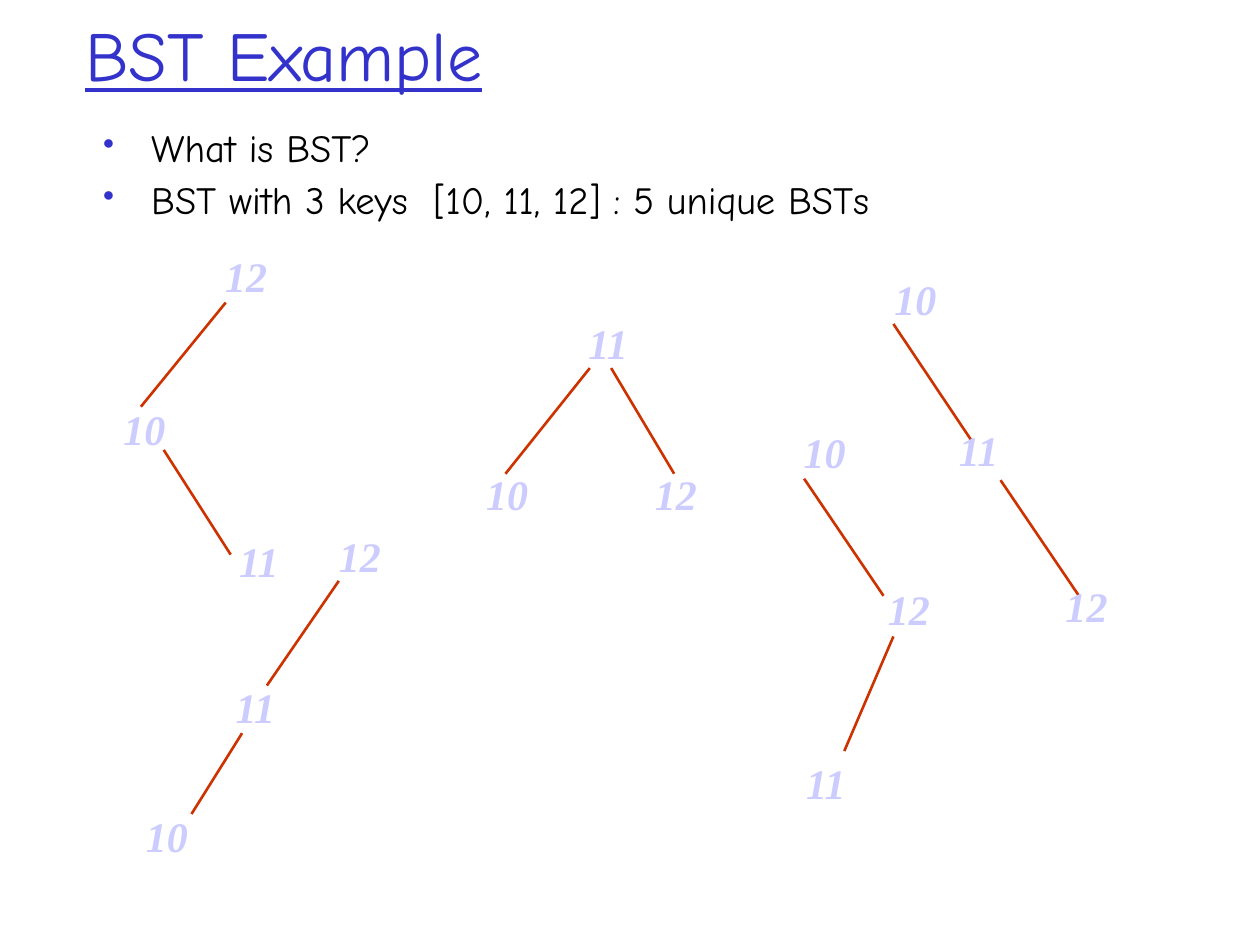
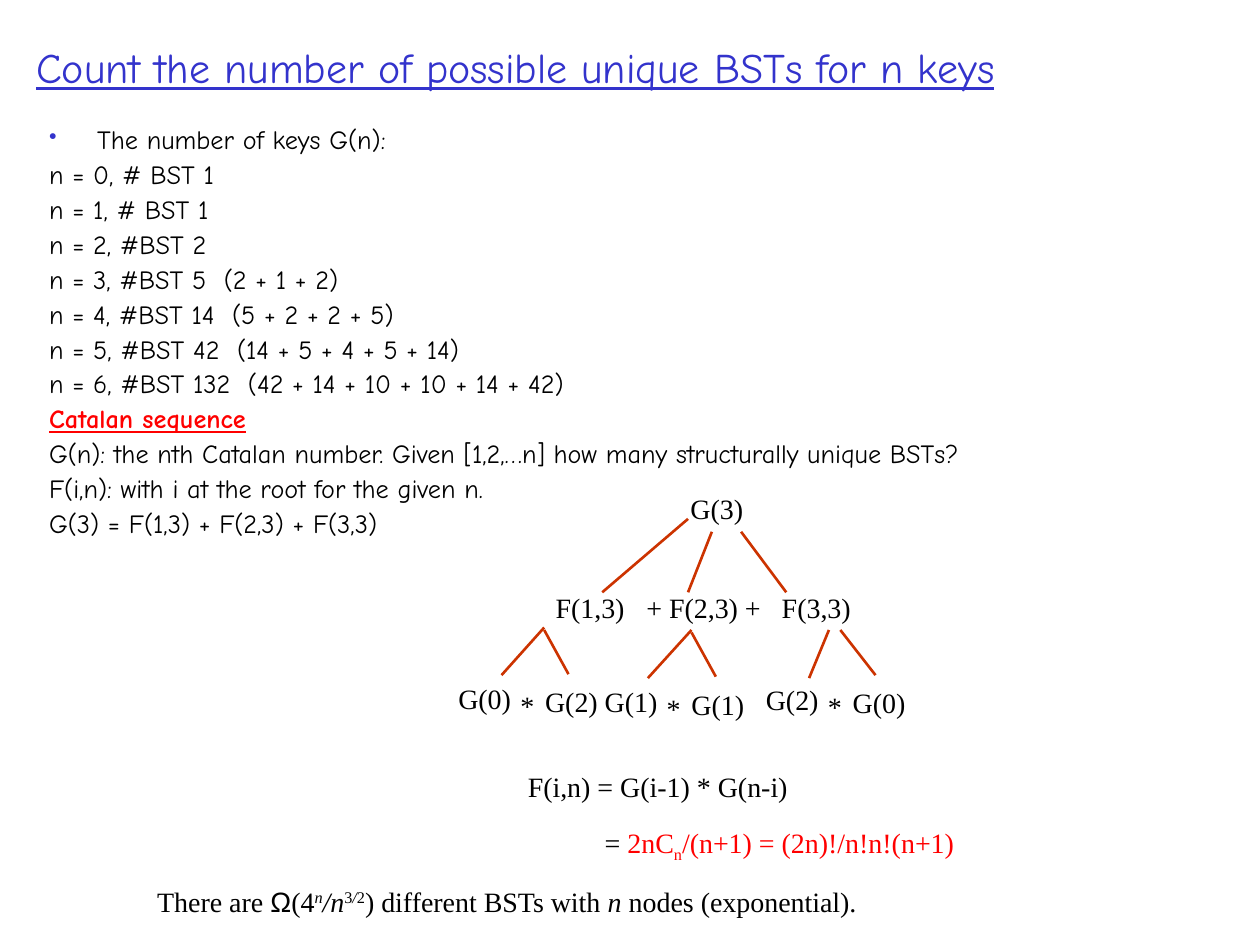
"""Two slides on binary search trees: the five trees on three keys, and how to count them."""
from lxml.etree import SubElement
from pptx import Presentation
from pptx.dml.color import RGBColor
from pptx.enum.shapes import MSO_CONNECTOR
from pptx.enum.text import MSO_ANCHOR
from pptx.oxml.ns import qn
from pptx.util import Cm, Pt

COLORS = {"title": "3333CC", "text": "000000", "key": "CCCCFF", "edge": "CC3300", "accent": "FF0000"}
HEADING_FACE, DIAGRAM_FACE = "Comic Neue", "Times New Roman"
BULLET_INDENT = 0.97

EXAMPLE_TITLE = ("BST Example", (1.47, 0.64, 21.59, 0.86), 40)
EXAMPLE_POINTS = ["What is BST?", "BST with 3 keys  [10, 11, 12] : 5 unique BSTs"]

TREES = [
    {"keys": [("12", 4.29, 4.93), ("10", 2.24, 8.0), ("11", 4.57, 10.67)],
     "edges": [(4.55, 6.1, 2.84, 8.2), (3.3, 9.07, 4.65, 11.18)]},
    {"keys": [("11", 11.61, 6.27), ("10", 9.55, 9.32), ("12", 12.95, 9.32)],
     "edges": [(11.89, 7.42, 10.19, 9.55), (12.32, 7.42, 13.59, 9.55)]},
    {"keys": [("12", 6.58, 10.57), ("11", 4.5, 13.61), ("10", 2.69, 16.21)],
     "edges": [(6.83, 11.71, 5.38, 13.82), (4.88, 14.78, 3.86, 16.41)]},
    {"keys": [("10", 17.78, 5.38), ("11", 19.08, 8.43), ("12", 21.23, 11.58)],
     "edges": [(18.01, 6.53, 19.61, 8.92), (20.17, 9.68, 21.77, 12.04)]},
    {"keys": [("10", 15.95, 8.48), ("12", 17.65, 11.63), ("11", 16.0, 15.14)],
     "edges": [(16.21, 9.65, 17.81, 12.01), (18.01, 12.83, 17.02, 15.14)]},
]

COUNT_TITLE = ("Count the number of possible unique BSTs for n keys", (0.48, 0.64, 22.5, 1.4), 24)
COUNT_POINTS = [
    "The number of keys G(n):",
    "n = 0, # BST 1",
    "n = 1, # BST 1",
    "n = 2, #BST 2",
    "n = 3, #BST 5  (2 + 1 + 2)",
    "n = 4, #BST 14  (5 + 2 + 2 + 5)",
    "n = 5, #BST 42  (14 + 5 + 4 + 5 + 14)",
    "n = 6, #BST 132  (42 + 14 + 10 + 10 + 14 + 42)",
    "Catalan sequence",
    "G(n): the nth Catalan number. Given [1,2,…n] how many structurally unique BSTs?",
    "F(i,n): with i at the root for the given n.",
    "G(3) = F(1,3) + F(2,3) + F(3,3)",
]
CATALAN_HEADING = "Catalan sequence"

RECURSION_ROOT = ("G(3)", (13.67, 9.78, 2, 0.94))
RECURSION_SUM = ("F(1,3)\t+ F(2,3) +\tF(3,3)", (10.95, 11.71, 7, 1.02))
SUM_TABS = [1.83, 4.56]
PRODUCTS = [("G(0)", "G(2)", 8.99, 13.61), ("G(1)", "G(1)", 11.94, 13.67), ("G(2)", "G(0)", 15.19, 13.64)]
STAR_OFFSET, RIGHT_FACTOR_OFFSET = (1.25, 0.14), (1.75, 0.06)
RECURSION_EDGES = [
    (13.87, 10.46, 12.14, 11.94), (14.35, 10.72, 13.87, 11.94), (14.94, 10.72, 15.85, 11.94),
    (10.97, 12.65, 10.11, 13.61), (10.97, 12.7, 11.46, 13.59),
    (13.94, 12.7, 13.06, 13.67), (13.94, 12.75, 14.43, 13.64),
    (16.71, 12.7, 16.31, 13.67), (16.94, 12.7, 17.65, 13.61),
]

PRODUCT_RULE = ("F(i,n) = G(i-1) * G(n-i)", (10.39, 15.32, 10, 1.02))
RED = {"color": "accent"}
CLOSED_FORM = ([("= ", {}), ("2nC", RED), ("n", {**RED, "baseline": -25}),
                ("/(n+1) = (2n)!/n!n!(n+1)", RED)], (11.94, 16.51, 8, 1.04))
GROWTH = ([("There are ", {}), ("Ω", {"face": "Arial"}), ("(4", {}),
           ("n", {"italic": True, "baseline": 30}), ("/n", {"italic": True}),
           ("3", {"baseline": 30}), ("/", {"italic": True, "baseline": 30}), ("2", {"baseline": 30}),
           (") different BSTs with ", {}), ("n ", {"italic": True}), ("nodes (exponential).", {})],
          (2.92, 17.7, 17.88, 0.94))


def style(font, size=None, face=None, color=None, bold=None, italic=None, underline=None):
    if size:
        font.size = Pt(size)
    if face:
        font.name = face
    if color:
        font.color.rgb = RGBColor.from_string(COLORS[color])
    font.bold, font.italic, font.underline = bold, italic, underline


def add_frame(slide, box):
    frame = slide.shapes.add_textbox(*map(Cm, box)).text_frame
    frame.word_wrap = True
    return frame


def add_title(slide, wording, box, size):
    frame = add_frame(slide, box)
    frame.vertical_anchor = MSO_ANCHOR.MIDDLE
    heading = frame.paragraphs[0]
    heading.text = wording
    style(heading.font, size, HEADING_FACE, "title", underline=True)


def add_bullet(paragraph):
    properties = paragraph._p.get_or_add_pPr()
    properties.set("marL", str(Cm(BULLET_INDENT)))
    properties.set("indent", str(-Cm(BULLET_INDENT)))
    SubElement(SubElement(properties, qn("a:buClr")), qn("a:srgbClr"), val=COLORS["title"])
    SubElement(properties, qn("a:buSzPct"), val="85000")
    SubElement(properties, qn("a:buChar"), char="•")


def add_points(slide, points, box, size, gap, bulleted):
    frame = add_frame(slide, box)
    for index, wording in enumerate(points):
        point = frame.add_paragraph() if index else frame.paragraphs[0]
        point.text = wording
        point.line_spacing = 0.9
        if index:
            point.space_before = Pt(gap)
        if index < bulleted:
            add_bullet(point)
        if wording == CATALAN_HEADING:
            style(point.font, size, HEADING_FACE, "accent", bold=True, underline=True)
        else:
            style(point.font, size, HEADING_FACE, "text")


def add_label(slide, wording, box, size=16, color="text", spacing=None, tabs=(), **emphasis):
    label = add_frame(slide, box).paragraphs[0]
    label.text = wording
    if spacing:
        label.line_spacing = spacing
    if tabs:
        stops = SubElement(label._p.get_or_add_pPr(), qn("a:tabLst"))
        for stop in tabs:
            SubElement(stops, qn("a:tab"), pos=str(Cm(stop)), algn="l")
    style(label.font, size, DIAGRAM_FACE, color, **emphasis)


def add_formula(slide, parts, box):
    formula = add_frame(slide, box).paragraphs[0]
    for wording, look in parts:
        part = formula.add_run()
        part.text = wording
        look = {"size": 16, "face": DIAGRAM_FACE, "color": "text", **look}
        baseline = look.pop("baseline", 0)
        style(part.font, **look)
        if baseline:
            part._r.get_or_add_rPr().set("baseline", str(baseline * 1000))


def add_edges(slide, edges):
    for ends in edges:
        edge = slide.shapes.add_connector(MSO_CONNECTOR.STRAIGHT, *map(Cm, ends))
        edge.line.color.rgb = RGBColor.from_string(COLORS["edge"])
        edge.line.width = Pt(1.5)
        SubElement(edge._element.spPr, qn("a:effectLst"))


def build_example(slide):
    add_title(slide, *EXAMPLE_TITLE)
    add_points(slide, EXAMPLE_POINTS, (1.83, 2.49, 21.59, 2.18), 22, 5.5, bulleted=2)
    for tree in TREES:
        add_edges(slide, tree["edges"])
        for key, left, top in tree["keys"]:
            add_label(slide, key, (left, top, 1.7, 1.27), 24, "key", bold=True, italic=True)


def build_count(slide):
    add_title(slide, *COUNT_TITLE)
    add_points(slide, COUNT_POINTS, (0.74, 2.44, 23.7, 9.58), 15, 3.7, bulleted=1)
    add_edges(slide, RECURSION_EDGES)
    add_label(slide, *RECURSION_ROOT)
    add_label(slide, *RECURSION_SUM, spacing=1.1, tabs=SUM_TABS)
    for left_factor, right_factor, left, top in PRODUCTS:
        pieces = [(left_factor, (0, 0)), ("*", STAR_OFFSET), (right_factor, RIGHT_FACTOR_OFFSET)]
        for wording, (right, down) in pieces:
            add_label(slide, wording, (left + right, top + down, 0.79 if wording == "*" else 2, 0.94))
    add_label(slide, *PRODUCT_RULE, spacing=1.1)
    add_formula(slide, *CLOSED_FORM)
    add_formula(slide, *GROWTH)


def main():
    deck = Presentation()
    deck.slide_width, deck.slide_height = Cm(25.4), Cm(19.05)
    for build in (build_example, build_count):
        build(deck.slides.add_slide(deck.slide_layouts[6]))
    deck.save("out.pptx")


if __name__ == "__main__":
    main()
